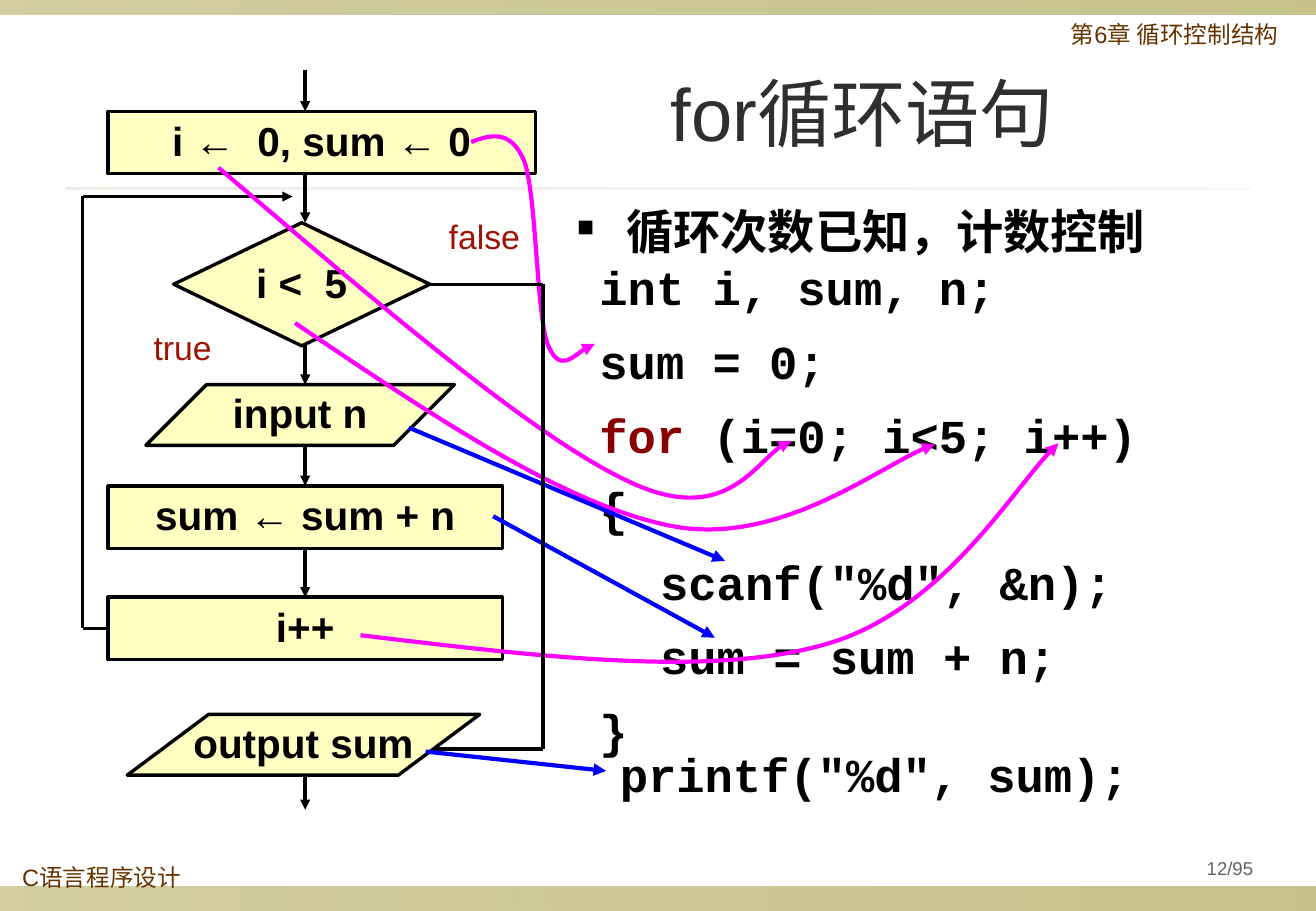
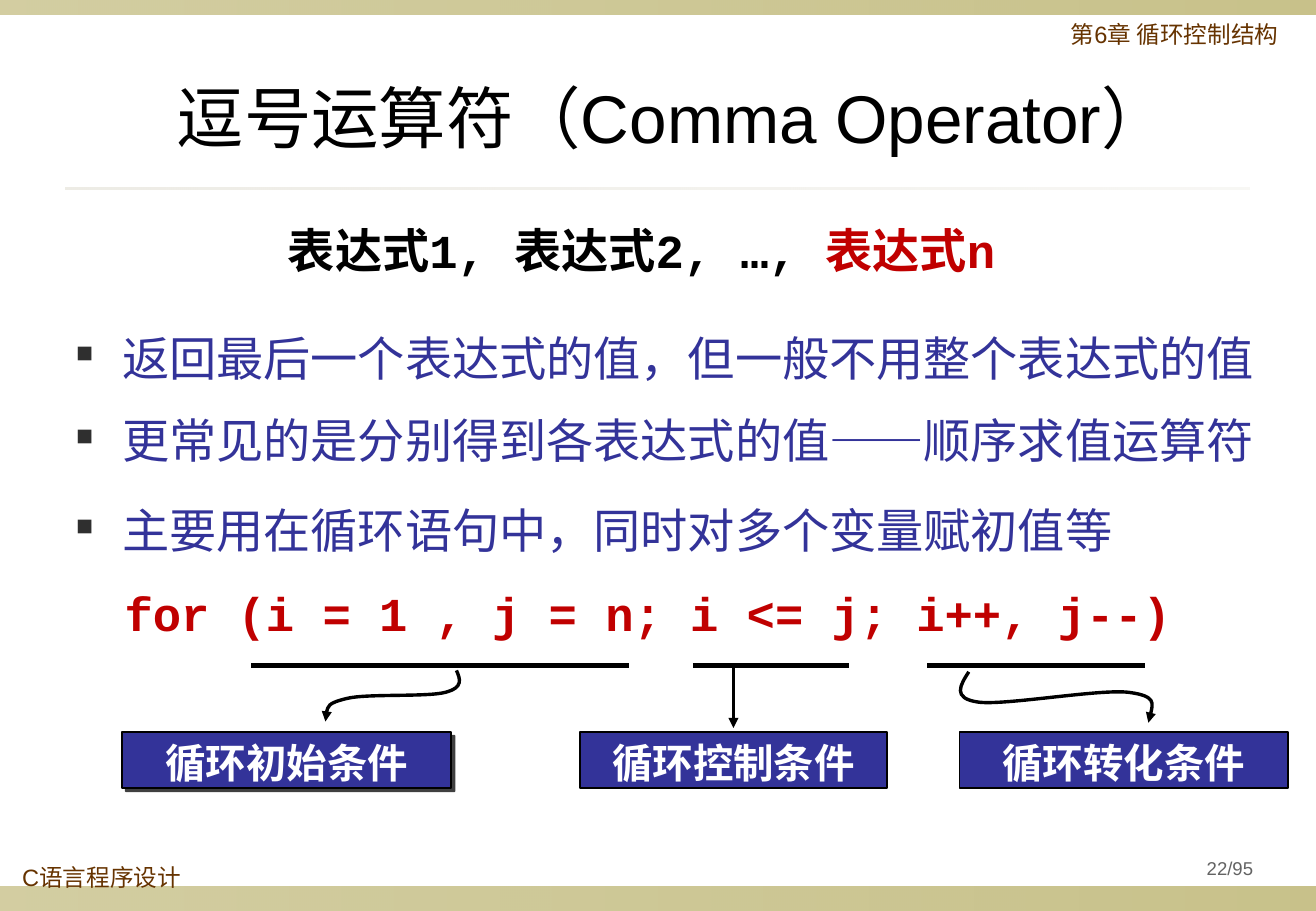
from lxml.etree import SubElement
from pptx import Presentation
from pptx.dml.color import RGBColor
from pptx.enum.shapes import MSO_CONNECTOR as Connector, MSO_SHAPE as Shape
from pptx.enum.text import MSO_ANCHOR as Anchor, MSO_AUTO_SIZE as AutoSize, PP_ALIGN as Align
from pptx.oxml.ns import qn
from pptx.util import Pt

SANS, MONO, HAN = "Arial", "Courier New", "Noto Sans CJK SC"
BLACK, WHITE, CREAM = "000000", "FFFFFF", "FFFFC2"
BROWN, GRAY, DARK, BRICK = "663300", "636363", "2F2F2F", "A01304"
MAROON, RED, NAVY = "880000", "C00000", "333399"
MAGENTA, BLUE = "FF00FF", "0000FF"
OLIVE, SAND = "918415", "DCD9CC"
WIDTH, HEIGHT = 780.48, 540
HAN_LINE = Pt(37)


def color(code):
    return RGBColor.from_string(code)


def add_tag(parent, tag, **attributes):
    return SubElement(parent, qn(tag), attributes)


class Lesson:
    def __init__(self):
        self.deck = Presentation()
        self.deck.slide_width, self.deck.slide_height = Pt(WIDTH), Pt(HEIGHT)
        self.page = None

    def new_page(self, title, area, size, title_color, number):
        self.page = self.deck.slides.add_slide(self.deck.slide_layouts[5])
        self.band(0, 525.6, WIDTH, 14.4, OLIVE, (40, 50))
        self.band(0, 0, WIDTH, 8.6, OLIVE, (40, 50))
        self.band(39, 111, 702, 1.5, SAND, (50, 20))
        self.text((6, 509.5, 112, 23), "C语言程序设计", 14, BROWN, spacing=Pt(15))
        self.text((628, 10.3, 152, 28), "第6章 循环控制结构", 14, BROWN, spacing=Pt(15))
        self.text((690.5, 504, 78, 22), number, 11, GRAY, align=Align.CENTER,
                  anchor=Anchor.MIDDLE)
        holder = self.page.shapes.title
        holder.left, holder.top, holder.width, holder.height = map(Pt, area)
        self.frame(holder, Anchor.MIDDLE)
        self.fill_para(holder.text_frame.paragraphs[0], title, size, title_color,
                       align=Align.CENTER, spacing=1.0)

    def band(self, left, top, width, height, tint, opacities):
        shape = self.page.shapes.add_shape(Shape.RECTANGLE, *map(Pt, (left, top, width, height)))
        shape.shadow.inherit = False
        shape.line.fill.background()
        shape.fill.gradient()
        shape.fill.gradient_angle = 0
        for stop in shape.fill.gradient_stops:
            stop.color.rgb = color(tint)
        for node, opacity in zip(shape.element.spPr.iter(qn("a:srgbClr")), opacities):
            add_tag(node, "a:alpha", val=str(opacity * 1000))

    def frame(self, shape, anchor=Anchor.TOP, wrap=True, inset=None):
        frame = shape.text_frame
        frame.word_wrap = wrap
        frame.auto_size = AutoSize.NONE
        frame.vertical_anchor = anchor
        if inset is not None:
            frame.margin_left = frame.margin_right = Pt(inset)
            frame.margin_top = frame.margin_bottom = Pt(inset)

    def fill_para(self, para, content, size, tint, font=SANS, bold=False, align=Align.LEFT,
                  spacing=0.95, before=0, after=0, margin=0, bullet=None):
        spans = [(content, tint)] if isinstance(content, str) else content
        for words, span_color in spans:
            span = para.add_run()
            span.text = words
            if span_color != tint:
                span.font.color.rgb = color(span_color)
        properties = para._p.get_or_add_pPr()
        if margin:
            properties.set("marL", str(Pt(margin)))
        if bullet:
            properties.set("indent", str(-Pt(margin)))
            add_tag(add_tag(properties, "a:buClr"), "a:srgbClr", val=bullet)
            add_tag(properties, "a:buSzPct", val="50000")
            add_tag(properties, "a:buChar", char="■")
        para.alignment = align
        para.line_spacing = spacing
        para.space_before, para.space_after = Pt(before), Pt(after)
        para.font.size, para.font.bold, para.font.name = Pt(size), bold, font
        para.font.color.rgb = color(tint)
        add_tag(properties.find(qn("a:defRPr")), "a:ea", typeface=HAN)

    def text(self, area, content, size, tint, anchor=Anchor.TOP, wrap=True, inset=None, **style):
        box = self.page.shapes.add_textbox(*map(Pt, area))
        self.frame(box, anchor, wrap, inset)
        self.fill_para(box.text_frame.paragraphs[0], content, size, tint, **style)
        return box

    def more(self, box, content, size, tint, **style):
        self.fill_para(box.text_frame.add_paragraph(), content, size, tint, **style)

    def node(self, kind, area, words, fill=CREAM, tint=BLACK, weight=2, slant=None,
             shadow=False, **style):
        shape = self.page.shapes.add_shape(kind, *map(Pt, area))
        if slant:
            shape.adjustments[0] = slant
        shape.fill.solid()
        shape.fill.fore_color.rgb = color(fill)
        shape.line.color.rgb = color(BLACK)
        shape.line.width = Pt(weight)
        shape.shadow.inherit = False
        if shadow:
            effects = shape.element.spPr.find(qn("a:effectLst"))
            outer = add_tag(effects, "a:outerShdw", dist=str(Pt(3)), dir="2700000",
                            algn="ctr", rotWithShape="0")
            add_tag(add_tag(outer, "a:srgbClr", val=BLACK), "a:alpha", val="75000")
        self.frame(shape, Anchor.MIDDLE, wrap=False, inset=0)
        self.fill_para(shape.text_frame.paragraphs[0], words, 24, tint, bold=True,
                       align=Align.CENTER, **style)
        return shape

    def stroke(self, shape, tint, weight, arrow):
        shape.line.color.rgb = color(tint)
        shape.line.width = Pt(weight)
        if arrow:
            add_tag(shape.element.spPr.find(qn("a:ln")), "a:tailEnd", type="triangle")

    def line(self, start, end, tint=BLACK, weight=2, arrow=False, source=None, target=None):
        line = self.page.shapes.add_connector(Connector.STRAIGHT, *map(Pt, start + end))
        if source:
            line.begin_connect(*source)
        if target:
            line.end_connect(*target)
        self.stroke(line, tint, weight, arrow)
        add_tag(line.element.spPr, "a:effectLst")

    def curve(self, points, tint, weight):
        points = [(Pt(x), Pt(y)) for x, y in points]
        builder = self.page.shapes.build_freeform(*points[0])
        builder.add_line_segments(points[1:], close=False)
        shape = builder.convert_to_shape()
        segments = list(shape.element.iter(qn("a:lnTo")))
        outline = segments[0].getparent()
        for first in range(0, len(segments), 3):
            bezier = add_tag(outline, "a:cubicBezTo")
            for segment in segments[first:first + 3]:
                bezier.append(segment[0])
                outline.remove(segment)
        shape.fill.background()
        shape.shadow.inherit = False
        self.stroke(shape, tint, weight, arrow=True)


def for_statement(lesson):
    lesson.new_page("for循环语句", (327.5, 21, 368, 90), 44, DARK, "12/95")
    axis, loop_x, exit_x = 181, 49, 322
    lesson.node(Shape.RECTANGLE, (64, 66, 253.5, 37), "i ←  0, sum ← 0")
    test = lesson.node(Shape.DIAMOND, (103, 132, 152, 73), "i <  5")
    add, step = [lesson.node(Shape.RECTANGLE, (64, top, 234, 37), words)
                 for top, words in ((288, "sum ← sum + n"), (354, "i++"))]
    lesson.line((exit_x, 444), (240, 444), arrow=True)
    lesson.node(Shape.PARALLELOGRAM, (75.5, 423.5, 209, 36), "output sum", slant=1.34)
    lesson.node(Shape.PARALLELOGRAM, (86.5, 228, 183, 36), "input n", slant=1)

    lesson.line((64, 372.5), (loop_x, 372.5), source=(step, 1))
    lesson.line((loop_x, 372.5), (loop_x, 116.5))
    lesson.line((loop_x, 116.5), (173.5, 116.5), arrow=True)
    for top, bottom, source, target in (
            (41.5, 66, None, None), (102, 132, None, None), (204, 228, None, None),
            (264, 288, None, (add, 0)), (325, 354, (add, 2), (step, 0)), (459.5, 480, None, None)):
        lesson.line((axis, top), (axis, bottom), arrow=True, source=source, target=target)
    lesson.text((259, 126, 57, 29), "false", 20, BRICK, wrap=False)
    lesson.text((84, 192, 49, 29), "true", 20, BRICK, wrap=False)

    code_style = dict(font=MONO, bold=True, after=11.8)
    code = lesson.text((348.5, 152, 355, 289.5), "int i, sum, n;", 28, BLACK,
                       wrap=False, **code_style)
    for content in ("sum = 0;", [("for", MAROON), (" (i=0; i<5; i++)", BLACK)], "{",
                    "\tscanf(\"%d\", &n);", "\tsum = sum + n;", "}"):
        lesson.more(code, content, 28, BLACK, **code_style)
    lesson.text((360.5, 440.5, 316, 37.5), "printf(\"%d\", sum);", 28, BLACK,
                wrap=False, font=MONO, bold=True)

    for points in (
            [(279.4, 84.2), (290.9, 79.9), (303.1, 76.3), (311, 95.8), (318.2, 115.9),
             (318.2, 185.8), (324.7, 203.8), (331.9, 221.8), (348.5, 203.8), (352.8, 203.8)],
            [(129.6, 99.4), (222.5, 178.6), (315.4, 258.5), (372.2, 285.1),
             (429.1, 312.5), (452.9, 265.7), (469.4, 261.4)],
            [(175, 191.5), (254.9, 245.5), (334.8, 299.5), (398.2, 311.8),
             (460.8, 324), (528.5, 271.4), (554.4, 263.5)],
            [(213.8, 376.6), (316.8, 388.8), (419, 401.8), (488.2, 382.3),
             (557.3, 363.6), (604.8, 283), (627.8, 262.8)]):
        lesson.curve(points, MAGENTA, 2.5)
    for start, end in (((242.5, 253.5), (430, 332.5)), ((292.5, 306), (424, 378)),
                       ((252.5, 445.5), (359.5, 457))):
        lesson.line(start, end, BLUE, 2.5, arrow=True)
    lesson.line((255, 168.5), (exit_x, 168.5), source=(test, 3))
    lesson.line((exit_x, 168.5), (exit_x, 444))
    lesson.text((335, 113, 411, 45), "循环次数已知，计数控制", 28, BLACK, font=HAN, bold=True,
                spacing=HAN_LINE, margin=29.5, bullet=BLACK)


def comma_operator(lesson):
    lesson.new_page("逗号运算符（Comma Operator）", (42.5, 37.5, 713, 63), 40, BLACK, "22/95")
    point_style = dict(font=HAN, spacing=HAN_LINE, after=6, margin=27.4, bullet=DARK)
    body = lesson.text((38, 188, 715, 203), "返回最后一个表达式的值，但一般不用整个表达式的值",
                       28, NAVY, **point_style)
    lesson.more(body, "更常见的是分别得到各表达式的值——顺序求值运算符", 28, NAVY,
                before=6, **point_style)
    lesson.more(body, "主要用在循环语句中，同时对多个变量赋初值等", 28, NAVY,
                before=10.5, **point_style)
    lesson.more(body, "for (i = 1 , j = n; i <= j; i++, j--)", 28, RED, font=MONO, bold=True,
                spacing=HAN_LINE, before=6, margin=28.8)
    lesson.text((95, 135, 571, 30), [("表达式1, 表达式2, …, ", BLACK), ("表达式n", RED)], 28, BLACK,
                inset=0, font=MONO, bold=True, align=Align.CENTER, spacing=Pt(30))

    rule_y = 394.5
    for left, width, words, rule_start, rule_end, shadow in (
            (72.5, 195, "循环初始条件", 149, 373, True),
            (344, 182, "循环控制条件", 411, 503.5, False),
            (569, 195, "循环转化条件", 550, 679, False)):
        lesson.node(Shape.RECTANGLE, (left, 434, width, 33), words, NAVY, WHITE, 1,
                    shadow=shadow, font=HAN, spacing=Pt(32))
        lesson.line((rule_start, rule_y), (rule_end, rule_y), weight=3)
    lesson.line((435, rule_y), (435, 431.5), arrow=True)
    for points in (
            [(270.7, 397.4), (272.9, 402.5), (275, 407.5), (264.2, 410.4), (253.4, 413.3),
             (217.4, 411.1), (205.9, 414), (193.7, 416.9), (193, 421.9), (193, 427.7)],
            [(574.6, 398.2), (569.5, 406.1), (564.5, 414), (580.3, 416.2), (596.2, 418.3),
             (652.3, 408.2), (669.6, 410.4), (686.2, 412.6), (683.3, 420.5), (681.1, 428.4)]):
        lesson.curve(points, BLACK, 2)


def main():
    lesson = Lesson()
    for_statement(lesson)
    comma_operator(lesson)
    lesson.deck.save("out.pptx")


if __name__ == "__main__":
    main()
